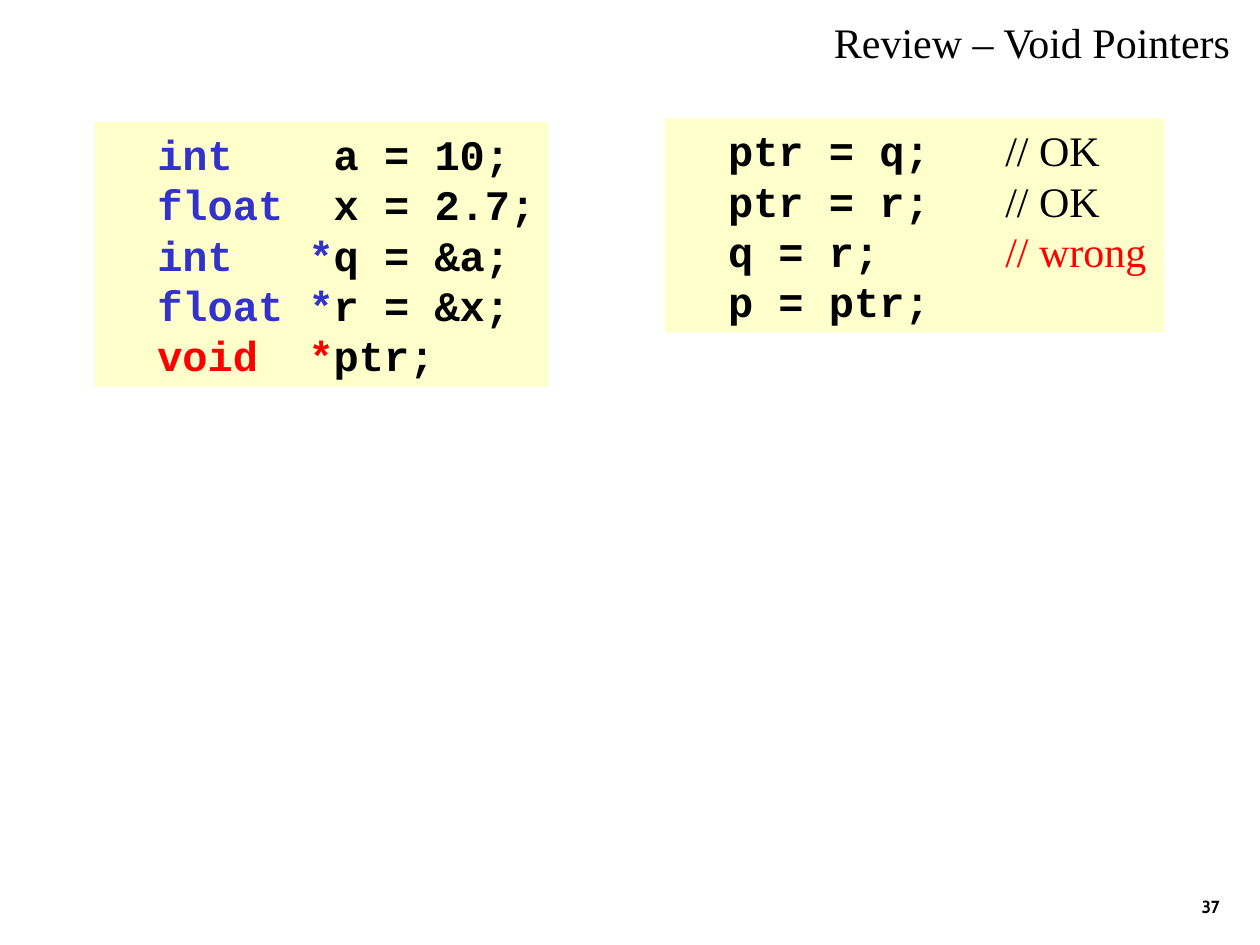
import dataclasses

import pptx
import pptx.dml.color
import pptx.enum.shapes
import pptx.enum.text
import pptx.util

Inches = pptx.util.Inches
ALIGN = pptx.enum.text.PP_ALIGN
ANCHOR = pptx.enum.text.MSO_ANCHOR


@dataclasses.dataclass(frozen=True)
class Theme:
    ink: str = "000000"
    keyword: str = "3333CC"
    alert: str = "FF0000"
    panel: str = "FFFFCC"
    code_font: str = "Courier New"
    text_font: str = "Times New Roman"
    number_font: str = "Cabin"
    body_size: int = 24
    number_size: int = 10


def rgb(value):
    return pptx.dml.color.RGBColor.from_string(value)


def add_run(p, text, *, font, size, color, bold=False):
    r = p.add_run()
    r.text = text
    r.font.name = font
    r.font.size = pptx.util.Pt(size)
    r.font.color.rgb = rgb(color)
    r.font.bold = bold


class SlideBuilder:
    def __init__(self, prs, theme):
        self.theme = theme
        self.s = prs.slides.add_slide(prs.slide_layouts[6])

    def text_box(self, text, left, top, width, height, *, align=ALIGN.LEFT,
                 anchor=ANCHOR.TOP, **style):
        sp = self.s.shapes.add_textbox(
            Inches(left), Inches(top), Inches(width), Inches(height))
        tf = sp.text_frame
        tf.word_wrap = True
        tf.vertical_anchor = anchor
        p = tf.paragraphs[0]
        p.alignment = align
        add_run(p, text, **style)

    def code_panel(self, lines, left, top, width, height):
        """Each line is a list of (text, style) pairs."""
        sp = self.s.shapes.add_shape(
            pptx.enum.shapes.MSO_SHAPE.RECTANGLE,
            Inches(left), Inches(top), Inches(width), Inches(height))
        sp.shadow.inherit = False
        sp.fill.solid()
        sp.fill.fore_color.rgb = rgb(self.theme.panel)
        sp.line.fill.background()
        tf = sp.text_frame
        tf.word_wrap = True
        tf.margin_right = 0
        tf.vertical_anchor = ANCHOR.TOP
        for i, line in enumerate(lines):
            p = tf.add_paragraph() if i else tf.paragraphs[0]
            p.alignment = ALIGN.LEFT
            for text, style in line:
                add_run(p, text, **style)


def main():
    prs = pptx.Presentation()
    prs.slide_width, prs.slide_height = Inches(10), Inches(7.5)
    theme = Theme()
    slide = SlideBuilder(prs, theme)

    code = dict(font=theme.code_font, size=theme.body_size,
                color=theme.ink, bold=True)
    keyword = code | dict(color=theme.keyword)
    alert = code | dict(color=theme.alert)
    plain = dict(font=theme.text_font, size=theme.body_size, color=theme.ink)
    wrong = plain | dict(color=theme.alert)

    assignments = [
        [("  ptr = q;   ", code), ("// OK", plain)],
        [("  ptr = r;   ", code), ("// OK", plain)],
        [("  q = r;     ", code), ("// wrong", wrong)],
        [("  p = ptr;", code)],
    ]
    declarations = [
        [("  int", keyword), ("    a = 10;", code)],
        [("  float", keyword), ("  x = 2.7;", code)],
        [("  int   *", keyword), ("q = &a;", code)],
        [("  float *", keyword), ("r = &x;", code)],
        [("  void  *", alert), ("ptr;", code)],
    ]
    slide.code_panel(assignments, 5.28, 0.94, 3.96, 1.7)
    slide.code_panel(declarations, 0.75, 0.97, 3.6, 2.1)
    slide.text_box("Review – Void Pointers", 6.52, 0.08, 3.39, 0.5, **plain)
    slide.text_box("37", 7.7, 6.83, 2.08, 0.5, align=ALIGN.RIGHT,
                   anchor=ANCHOR.BOTTOM, font=theme.number_font,
                   size=theme.number_size, color=theme.ink, bold=True)
    prs.save("out.pptx")


if __name__ == "__main__":
    main()
